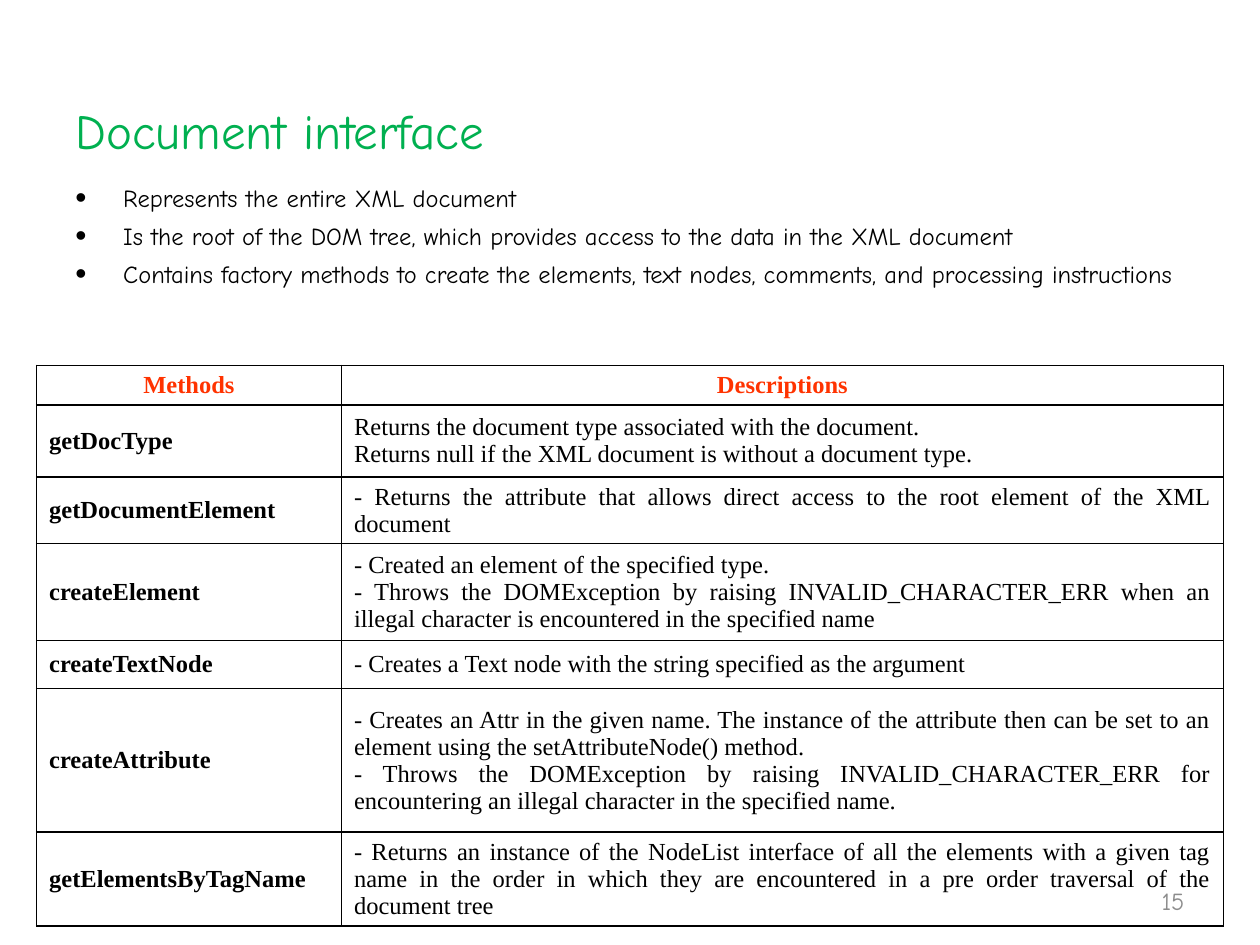
import pptx
import pptx.dml.color
import pptx.enum.text
import pptx.oxml.ns
import pptx.util
from dataclasses import dataclass
from lxml import etree

ALIGN = pptx.enum.text.PP_ALIGN
ANCHOR = pptx.enum.text.MSO_ANCHOR


@dataclass(frozen=True)
class Theme:
    body_font: str = "Comic Neue"
    table_font: str = "Times New Roman"
    title_size: int = 28
    text_size: int = 14
    title: str = "00B050"
    text: str = "000000"
    number: str = "8C8C8C"
    header: str = "FF3300"
    border: str = "000000"


theme = Theme()
deck = pptx.Presentation()
deck.slide_width = pptx.util.Inches(10)
deck.slide_height = pptx.util.Inches(7.5)
page = deck.slides.add_slide(deck.slide_layouts[5])


def place(left, top, width, height):
    """Turn percentages of the slide's size into lengths."""
    return [int(share * side / 100) for share, side in (
        (left, deck.slide_width), (top, deck.slide_height),
        (width, deck.slide_width), (height, deck.slide_height))]


def write(frame, lines, font, size, color, align=ALIGN.LEFT, bold=False):
    """Fill a text frame with one paragraph per line."""
    frame.word_wrap = True
    for index, line in enumerate(lines):
        para = frame.paragraphs[0] if index == 0 else frame.add_paragraph()
        para.alignment = align
        span = para.add_run()
        span.text = line
        span.font.name = font
        span.font.size = pptx.util.Pt(size)
        span.font.bold = bold
        span.font.color.rgb = pptx.dml.color.RGBColor.from_string(color)


# Title
title = page.shapes.title
title.left, title.top, title.width, title.height = place(5, 10, 90, 11.07)
title.text_frame.auto_size = pptx.enum.text.MSO_AUTO_SIZE.NONE
title.text_frame.vertical_anchor = ANCHOR.TOP
write(title.text_frame, ["Document interface"],
      theme.body_font, theme.title_size, theme.title)

# Bullet list
bullets = page.shapes.add_textbox(*place(5, 17.73, 90, 22.13))
write(bullets.text_frame, [
    "Represents the entire XML document",
    "Is the root of the DOM tree, which provides access to the data in the XML document",
    "Contains factory methods to create the elements, text nodes, comments, and processing instructions",
], theme.body_font, theme.text_size, theme.text)
indent = pptx.util.Inches(0.38)
for para in bullets.text_frame.paragraphs:
    para.line_spacing = 1.3
    props = para._p.get_or_add_pPr()
    props.set("marL", str(indent))
    props.set("indent", str(-indent))
    etree.SubElement(props, pptx.oxml.ns.qn("a:buSzPct"), val="130000")
    etree.SubElement(props, pptx.oxml.ns.qn("a:buFont"), typeface="Arial")
    etree.SubElement(props, pptx.oxml.ns.qn("a:buChar"), char="•")

# Page number
number = page.shapes.add_textbox(*place(71.7, 92.67, 23.3, 5.33))
number.text_frame.vertical_anchor = ANCHOR.MIDDLE
write(number.text_frame, ["15"], theme.body_font, theme.text_size,
      theme.number, ALIGN.RIGHT)

# Table of methods: row height in percent, method, description lines
methods = [
    (4.2, "Methods", ["Descriptions"]),
    (7.6, "getDocType", [
        "Returns the document type associated with the document.",
        "Returns null if the XML document is without a document type."]),
    (7.07, "getDocumentElement", [
        "- Returns the attribute that allows direct access to the root element of the XML document"]),
    (10.27, "createElement", [
        "- Created an element of the specified type.",
        "- Throws the DOMException by raising INVALID_CHARACTER_ERR when an illegal "
        "character is encountered in the specified name"]),
    (5.07, "createTextNode", [
        "- Creates a Text node with the string specified as the argument"]),
    (15.2, "createAttribute", [
        "- Creates an Attr in the given name. The instance of the attribute then can be "
        "set to an element using the setAttributeNode() method.",
        "- Throws the DOMException by raising INVALID_CHARACTER_ERR for encountering an "
        "illegal character in the specified name."]),
    (9.93, "getElementsByTagName", [
        "- Returns an instance of the NodeList interface of all the elements with a given "
        "tag name in the order in which they are encountered in a pre order traversal of "
        "the document tree"]),
]
columns = (24.2, 70)
total = sum(height for height, _, _ in methods)
table = page.shapes.add_table(
    len(methods), len(columns), *place(2.9, 38.67, sum(columns), total)).table
table.first_row = False
table.horz_banding = False
for column, share in zip(table.columns, columns):
    column.width = int(deck.slide_width * share / 100)

for row, (height, method, description) in enumerate(methods):
    table.rows[row].height = int(deck.slide_height * height / 100)
    for col, lines in enumerate(([method], description)):
        cell = table.cell(row, col)
        if row == 0:
            color, align, anchor, margin = theme.header, ALIGN.CENTER, ANCHOR.TOP, 0.05
        else:
            color, anchor, margin = theme.text, ANCHOR.MIDDLE, 0.02
            align = ALIGN.JUSTIFY if col else ALIGN.LEFT
        write(cell.text_frame, lines, theme.table_font, theme.text_size,
              color, align, bold=row == 0 or col == 0)
        cell.vertical_anchor = anchor

        # Slim margins keep each row at its set height
        cell.margin_top = pptx.util.Inches(margin)
        cell.margin_bottom = pptx.util.Inches(0.02)

        # Cell borders come before the fill
        props = cell._tc.get_or_add_tcPr()
        for side in ("lnL", "lnR", "lnT", "lnB"):
            line = etree.SubElement(props, pptx.oxml.ns.qn(f"a:{side}"),
                                    w=str(pptx.util.Pt(1)))
            solid = etree.SubElement(line, pptx.oxml.ns.qn("a:solidFill"))
            etree.SubElement(solid, pptx.oxml.ns.qn("a:srgbClr"), val=theme.border)
        cell.fill.background()

deck.save("out.pptx")
